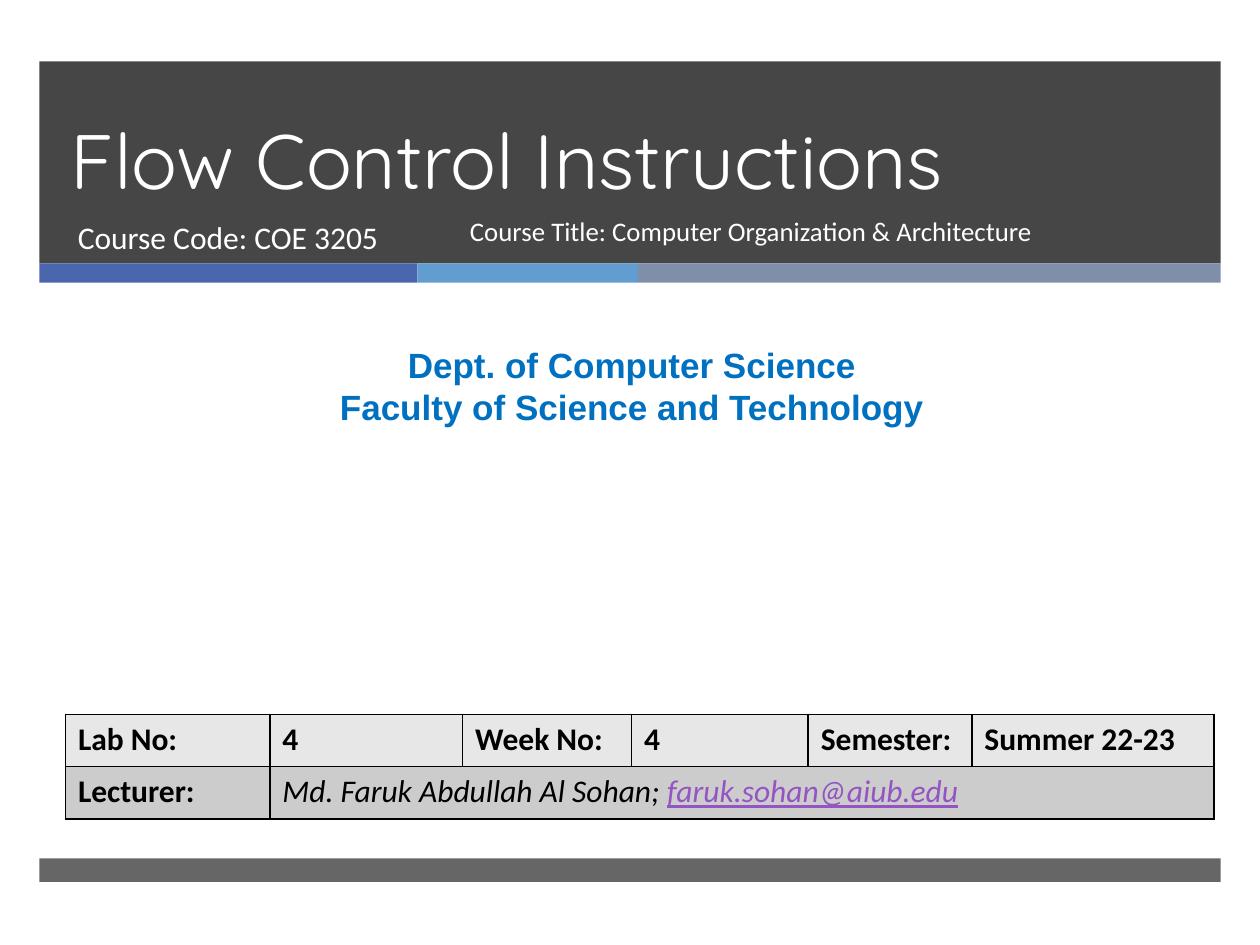
from dataclasses import dataclass

import pptx
import pptx.dml.color
import pptx.enum.shapes
import pptx.enum.text
import pptx.oxml
import pptx.oxml.ns
import pptx.util
from pptx.util import Pt

Align = pptx.enum.text.PP_ALIGN
Anchor = pptx.enum.text.MSO_ANCHOR


@dataclass(frozen=True)
class Theme:
    heading: str = "Quicksand"
    body: str = "Calibri"
    department: str = "Arial"
    dark: str = "262626"
    white: str = "FFFFFF"
    black: str = "000000"
    blue: str = "0070C0"
    purple: str = "9454C3"
    label_row: str = "E7E7E7"
    lecturer_row: str = "CCCCCC"
    title_size: float = 44
    department_size: float = 20
    body_size: float = 18
    course_size: float = 15.3


THEME = Theme()


@dataclass(frozen=True)
class Bar:
    left: float
    top: float
    width: float
    height: float
    color: str
    opacity: int = 100


@dataclass(frozen=True)
class Span:
    text: str
    color: str = THEME.black
    bold: bool = False
    italic: bool = False
    underline: bool = False


EDGE, FULL_WIDTH = 22.5, 675
STRIPE_TOP, STRIPE_HEIGHT = 150.5, 11
BARS = [
    Bar(EDGE, 35, FULL_WIDTH, 115.5, THEME.dark, 85),
    Bar(EDGE, STRIPE_TOP, 216, STRIPE_HEIGHT, "4A66AC"),
    Bar(238.5, STRIPE_TOP, 126, STRIPE_HEIGHT, "629DD1"),
    Bar(364.5, STRIPE_TOP, 333, STRIPE_HEIGHT, "7F8FA9"),
    Bar(EDGE, 490.5, FULL_WIDTH, 13.5, THEME.dark, 70),
]

COLUMN_WIDTHS = [116.8, 110.2, 96.5, 101, 93.5, 138.5]
ROW_HEIGHT = 29.9
LABELS = ["Lab No:", "4", "Week No:", "4", "Semester:", "Summer 22-23"]
LECTURER = [
    Span("Md. Faruk Abdullah Al Sohan; ", italic=True),
    Span("faruk.sohan@aiub.edu", THEME.purple, italic=True, underline=True),
]


def rgb(color: str) -> pptx.dml.color.RGBColor:
    return pptx.dml.color.RGBColor.from_string(color)


def write(frame, lines: list[list[Span]], *, font: str = THEME.body,
          size: float = THEME.body_size, align=Align.LEFT,
          anchor=Anchor.TOP, spacing=None) -> None:
    """Fill a text frame with one paragraph for each list of spans."""
    frame.word_wrap = True
    frame.vertical_anchor = anchor
    for index, spans in enumerate(lines):
        para = frame.add_paragraph() if index else frame.paragraphs[0]
        para.alignment = align
        if spacing is not None:
            para.line_spacing = spacing
        for span in spans:
            run = para.add_run()
            run.text = span.text
            run.font.name = font
            run.font.size = Pt(size)
            run.font.bold = span.bold
            run.font.italic = span.italic
            run.font.underline = span.underline
            run.font.color.rgb = rgb(span.color)


def add_text(page, left: float, top: float, width: float, height: float,
             lines: list[list[Span]], **text_format) -> None:
    box = page.shapes.add_textbox(Pt(left), Pt(top), Pt(width), Pt(height))
    write(box.text_frame, lines, **text_format)


def add_bar(page, bar: Bar) -> None:
    shape = page.shapes.add_shape(
        pptx.enum.shapes.MSO_SHAPE.RECTANGLE,
        Pt(bar.left), Pt(bar.top), Pt(bar.width), Pt(bar.height))
    shape.shadow.inherit = False
    shape.line.fill.background()
    shape.fill.solid()
    shape.fill.fore_color.rgb = rgb(bar.color)
    if bar.opacity < 100:
        color = shape.element.spPr.find(".//" + pptx.oxml.ns.qn("a:srgbClr"))
        color.append(pptx.oxml.parse_xml(
            f'<a:alpha {pptx.oxml.ns.nsdecls("a")} val="{bar.opacity * 1000}"/>'))


def format_cell(cell, color: str) -> None:
    """Give a cell thin black borders and a plain fill."""
    properties = cell._tc.get_or_add_tcPr()
    for side in ("lnL", "lnR", "lnT", "lnB"):
        properties.append(pptx.oxml.parse_xml(
            f'<a:{side} {pptx.oxml.ns.nsdecls("a")} w="{Pt(1)}"><a:solidFill>'
            f'<a:srgbClr val="{THEME.black}"/></a:solidFill></a:{side}>'))
    cell.fill.solid()
    cell.fill.fore_color.rgb = rgb(color)


def add_details(page) -> None:
    table = page.shapes.add_table(
        2, len(COLUMN_WIDTHS), Pt(37.4), Pt(408.2),
        Pt(sum(COLUMN_WIDTHS)), Pt(2 * ROW_HEIGHT)).table
    for column, width in zip(table.columns, COLUMN_WIDTHS):
        column.width = Pt(width)
    for row, color in zip(table.rows, (THEME.label_row, THEME.lecturer_row)):
        row.height = Pt(ROW_HEIGHT)
        for cell in row.cells:
            format_cell(cell, color)
    table.cell(1, 1).merge(table.cell(1, len(COLUMN_WIDTHS) - 1))

    for index, label in enumerate(LABELS):
        write(table.cell(0, index).text_frame, [[Span(label, bold=True)]])
    write(table.cell(1, 0).text_frame, [[Span("Lecturer:", bold=True)]])
    write(table.cell(1, 1).text_frame, [LECTURER])


def add_title(page) -> None:
    title = page.shapes.title
    title.left, title.top = Pt(33.1), Pt(35.3)
    title.width, title.height = Pt(615), Pt(85.7)
    title.text_frame.auto_size = pptx.enum.text.MSO_AUTO_SIZE.NONE
    write(title.text_frame, [[Span("Flow Control Instructions", THEME.white)]],
          font=THEME.heading, size=THEME.title_size, anchor=Anchor.BOTTOM,
          spacing=Pt(46))
    # Bring the title in front of the dark band
    title.element.getparent().append(title.element)


def main() -> None:
    deck = pptx.Presentation()
    deck.slide_width, deck.slide_height = Pt(720), Pt(540)
    page = deck.slides.add_slide(deck.slide_layouts[5])

    # Header band, colour stripe and footer
    for bar in BARS:
        add_bar(page, bar)

    # Title and course
    add_title(page)
    add_text(page, 37.4, 121, 219.6, 38,
             [[Span("Course Code: COE 3205", THEME.white)]])
    add_text(page, 261.4, 121, 337.7, 38,
             [[Span("Course Title: Computer Organization & Architecture",
                    THEME.white)]],
             size=THEME.course_size, spacing=0.9)

    # Department
    add_text(page, 5.8, 193, 710.6, 55.4,
             [[Span("Dept. of Computer Science", THEME.blue, bold=True)],
              [Span("Faculty of Science and Technology", THEME.blue, bold=True)]],
             font=THEME.department, size=THEME.department_size,
             align=Align.CENTER)

    # Lab details
    add_details(page)
    deck.save("out.pptx")


if __name__ == "__main__":
    main()
